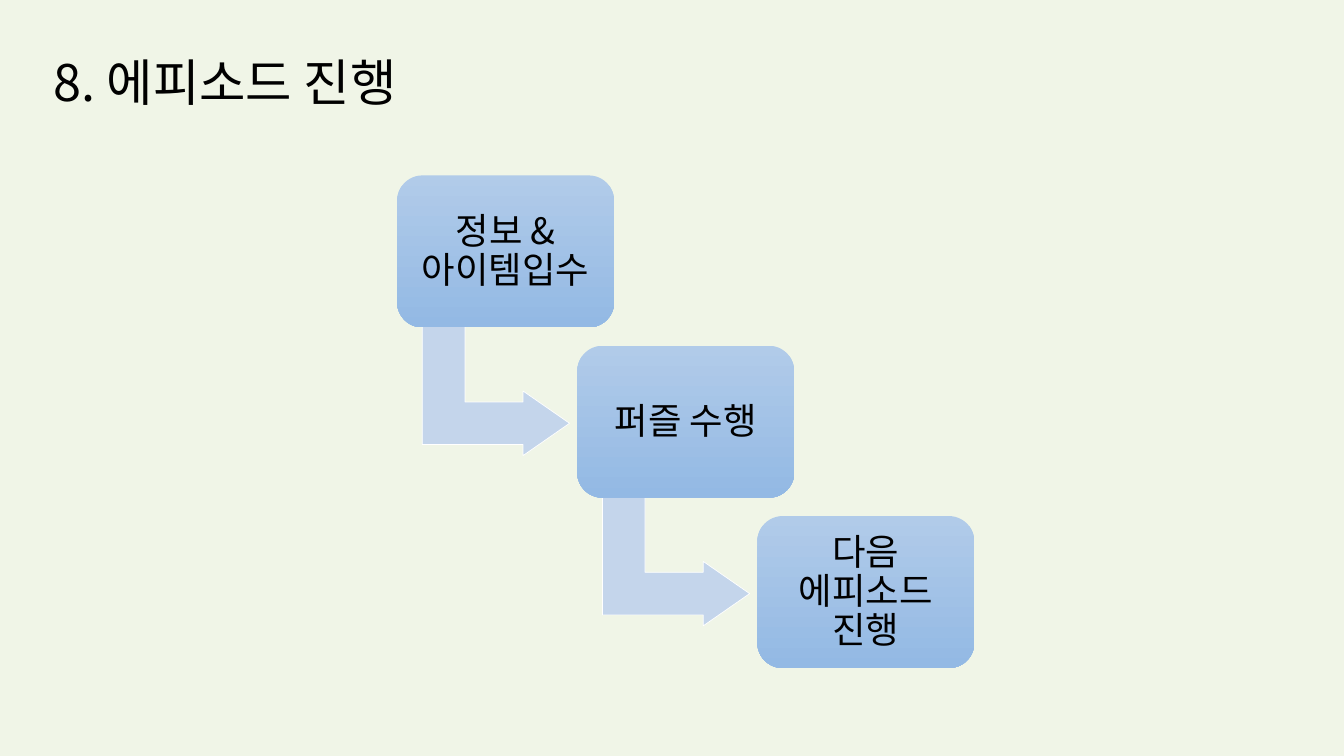
from pptx import Presentation
from pptx.dml.color import RGBColor
from pptx.enum.shapes import MSO_SHAPE
from pptx.enum.text import MSO_ANCHOR, PP_ALIGN
from pptx.util import Inches, Pt
from lxml import etree

ROUNDED = MSO_SHAPE.ROUNDED_RECTANGLE
BENT_ARROW = MSO_SHAPE.BENT_UP_ARROW
MIDDLE = MSO_ANCHOR.MIDDLE
LEFT, CENTER = PP_ALIGN.LEFT, PP_ALIGN.CENTER

SLIDE_W, SLIDE_H = Inches(13.33), Inches(7.5)
FONT = "Noto Sans CJK KR"
DRAWING_NS = "http://schemas.openxmlformats.org/drawingml/2006/main"

# Staircase layout, in percent of the slide's width and height
FIRST_X, FIRST_Y = 29.55, 23.2
STEP_X, STEP_Y = 13.4, 22.53
CARD_W, CARD_H = 16.15, 20.1
ARROW_DX, ARROW_DY = 2.55, 18.8
ARROW_W, ARROW_H = 9.6, 19.47

EPISODE_STEPS = ["정보 & 아이템입수", "퍼즐 수행", "다음 에피소드 진행"]


def color(hex_code):
    return RGBColor.from_string(hex_code)


def area(x, y, w, h):
    """Turn percentages of the slide into left, top, width, height."""
    return [int(side * share / 100) for side, share in
            ((SLIDE_W, x), (SLIDE_H, y), (SLIDE_W, w), (SLIDE_H, h))]


def write(holder, text, size, align=LEFT, spacing=0.9, inset=None):
    frame = holder.text_frame
    frame.word_wrap = True
    frame.vertical_anchor = MIDDLE
    if inset is not None:
        frame.margin_left = frame.margin_right = inset
        frame.margin_top = frame.margin_bottom = inset
    paragraph = frame.paragraphs[0]
    paragraph.alignment = align
    paragraph.line_spacing = spacing
    run = paragraph.add_run()
    run.text = text
    run.font.size = Pt(size)
    run.font.name = FONT
    run.font.color.rgb = color("000000")
    # Hangul takes the East Asian typeface
    east_asian = etree.SubElement(run.font._element, f"{{{DRAWING_NS}}}ea")
    east_asian.set("typeface", FONT)


def add_title(slide, text):
    title = slide.shapes.add_textbox(*area(3.25, 5.87, 51.75, 10.67))
    write(title, text, 36)


def add_step_card(slide, x, y, text):
    card = slide.shapes.add_shape(ROUNDED, *area(x, y, CARD_W, CARD_H))
    card.shadow.inherit = False
    card.line.fill.background()
    card.fill.gradient()
    card.fill.gradient_angle = 270
    for stop, shade in zip(card.fill.gradient_stops, ("B1CBE9", "93B9E4")):
        stop.color.rgb = color(shade)
    write(card, text, 26, align=CENTER, spacing=Pt(28), inset=Inches(0.11))


def add_step_arrow(slide, x, y):
    arrow = slide.shapes.add_shape(BENT_ARROW, *area(x, y, ARROW_W, ARROW_H))
    arrow.rotation = 90
    arrow.shadow.inherit = False
    for index, ratio in enumerate((0.33, 0.25, 0.36)):
        arrow.adjustments[index] = ratio
    arrow.fill.solid()
    arrow.fill.fore_color.rgb = color("C4D5EB")
    arrow.line.color.rgb = color("FFFFFF")
    arrow.line.width = Pt(0.5)


def main():
    deck = Presentation()
    deck.slide_width, deck.slide_height = SLIDE_W, SLIDE_H
    slide = deck.slides.add_slide(deck.slide_layouts[6])
    background = slide.background.fill
    background.solid()
    background.fore_color.rgb = color("F0F5E7")

    add_title(slide, "8. 에피소드 진행")

    # Descending steps, each but the last leading to the next
    for number, step in enumerate(EPISODE_STEPS):
        x, y = FIRST_X + number * STEP_X, FIRST_Y + number * STEP_Y
        if number < len(EPISODE_STEPS) - 1:
            add_step_arrow(slide, x + ARROW_DX, y + ARROW_DY)
        add_step_card(slide, x, y, step)

    deck.save("out.pptx")


if __name__ == "__main__":
    main()
